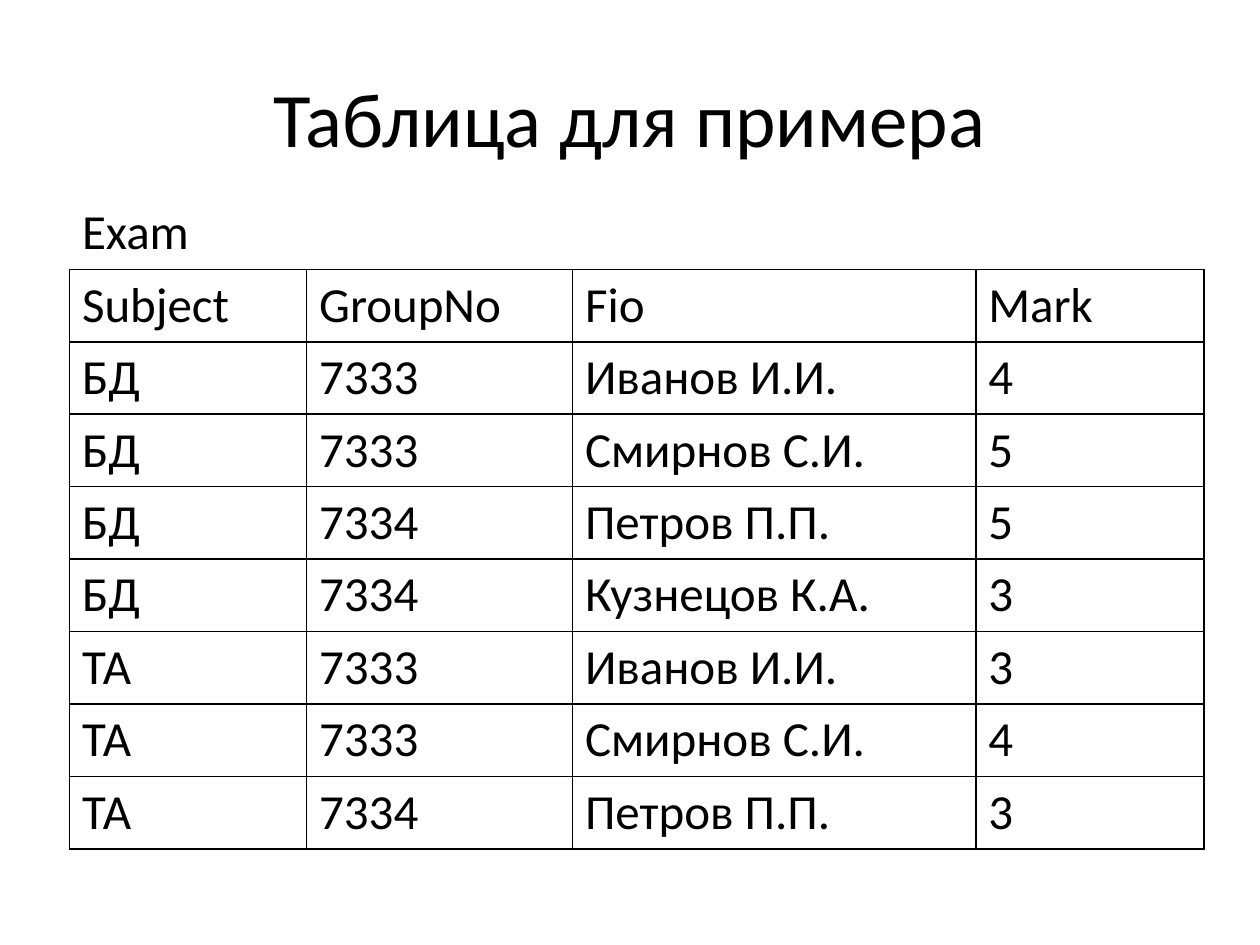
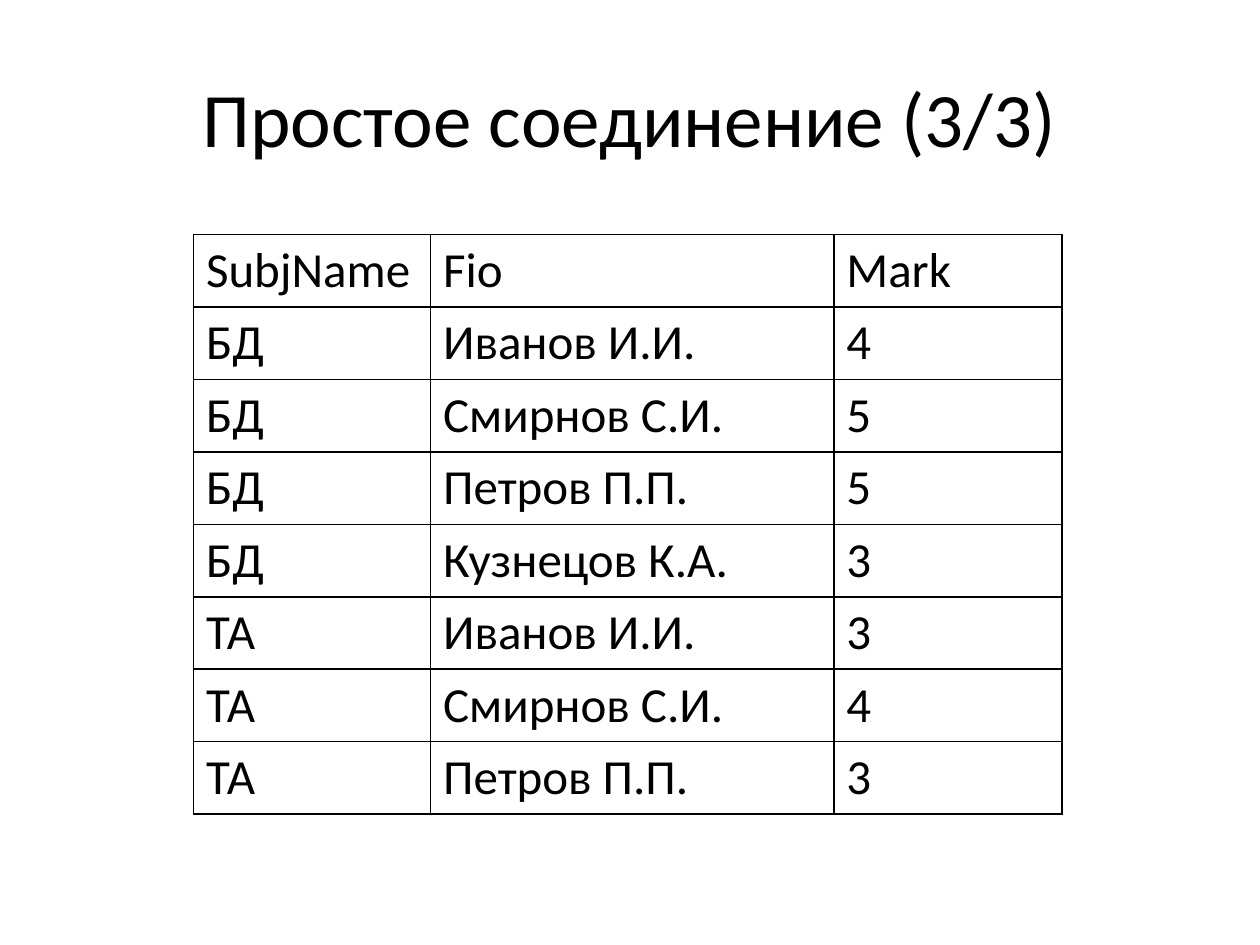
from lxml.etree import SubElement
from pptx import Presentation
from pptx.dml.color import RGBColor
from pptx.enum.text import MSO_ANCHOR, PP_ALIGN
from pptx.oxml.ns import qn
from pptx.util import Cm, Pt

COLORS = {"text": "000000", "border": "000000", "background": "FFFFFF"}
FONT = "Calibri"
ROW_HEIGHT = 1.46
WIDTHS = {"Subject": 4.78, "SubjName": 4.78, "GroupNo": 5.36, "Fio": 8.13, "Mark": 4.6}

exams = [
    ("БД", "7333", "Иванов И.И.", "4"),
    ("БД", "7333", "Смирнов С.И.", "5"),
    ("БД", "7334", "Петров П.П.", "5"),
    ("БД", "7334", "Кузнецов К.А.", "3"),
    ("ТА", "7333", "Иванов И.И.", "3"),
    ("ТА", "7333", "Смирнов С.И.", "4"),
    ("ТА", "7334", "Петров П.П.", "3"),
]
joined = [(subject, fio, mark) for subject, group, fio, mark in exams]

slides = [
    {"title": "Таблица для примера", "caption": "Exam", "left": 1.4, "top": 3.97,
     "header": ("Subject", "GroupNo", "Fio", "Mark"), "rows": exams},
    {"title": "Простое соединение (3/3)", "caption": None, "left": 3.9, "top": 4.73,
     "header": ("SubjName", "Fio", "Mark"), "rows": joined},
]


def write(tf, text, size=28, align=PP_ALIGN.LEFT, color="text"):
    p = tf.paragraphs[0]
    p.alignment = align
    r = p.add_run()
    r.text = text
    r.font.size = Pt(size)
    r.font.name = FONT
    r.font.color.rgb = RGBColor.from_string(COLORS[color])


def set_borders(cell, visible):
    tcPr = cell._tc.get_or_add_tcPr()
    for side in "LRTB":
        ln = SubElement(tcPr, qn(f"a:ln{side}"), w=str(Pt(1)))
        if side in visible:
            fill = SubElement(ln, qn("a:solidFill"))
            SubElement(fill, qn("a:srgbClr"), val=COLORS["border"])
        else:
            SubElement(ln, qn("a:noFill"))


prs = Presentation()
prs.slide_width = Cm(25.4)
prs.slide_height = Cm(19.05)

for content in slides:
    s = prs.slides.add_slide(prs.slide_layouts[6])
    s.background.fill.solid()
    s.background.fill.fore_color.rgb = RGBColor.from_string(COLORS["background"])

    sp = s.shapes.add_textbox(Cm(1.27), Cm(0.76), Cm(22.86), Cm(3.18))
    tf = sp.text_frame
    tf.word_wrap = True
    tf.vertical_anchor = MSO_ANCHOR.MIDDLE
    write(tf, content["title"], size=44, align=PP_ALIGN.CENTER)

    header = content["header"]
    caption = content["caption"]
    rows = [header, *content["rows"]]
    if caption:
        rows.insert(0, (caption,) + ("",) * (len(header) - 1))
    widths = [WIDTHS[name] for name in header]
    table = s.shapes.add_table(
        len(rows), len(header), Cm(content["left"]), Cm(content["top"]),
        Cm(sum(widths)), Cm(ROW_HEIGHT * len(rows))).table
    table.first_row = False
    table.horz_banding = False
    for column, width in zip(table.columns, widths):
        column.width = Cm(width)

    for i, row in enumerate(rows):
        table.rows[i].height = Cm(ROW_HEIGHT)
        for j, text in enumerate(row):
            cell = table.cell(i, j)
            set_borders(cell, "B" if caption and i == 0 else "LRTB")
            cell.fill.background()
            if text:
                write(cell.text_frame, text)
    if caption:
        table.cell(0, 0).merge(table.cell(0, len(header) - 1))

prs.save("out.pptx")
